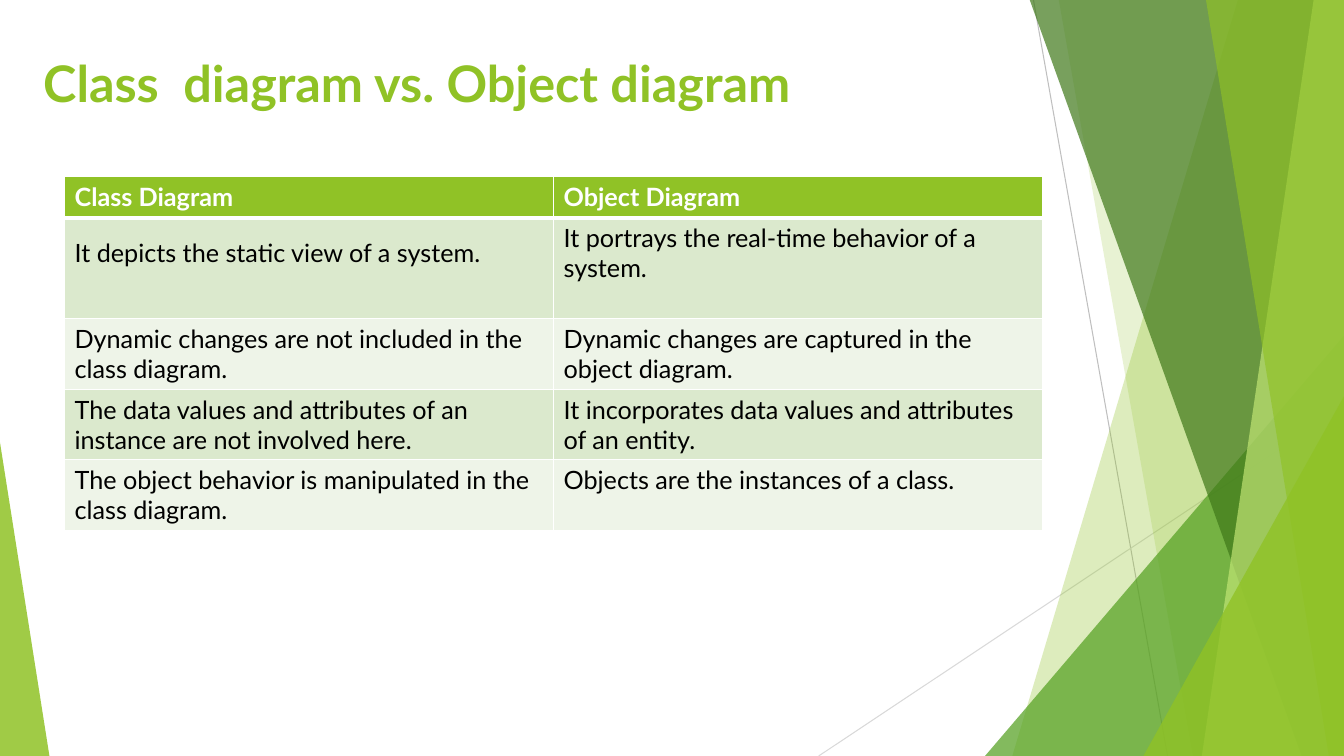
from lxml.etree import SubElement
from pptx import Presentation
from pptx.dml.color import RGBColor
from pptx.enum.shapes import MSO_CONNECTOR, MSO_SHAPE
from pptx.enum.text import MSO_ANCHOR
from pptx.oxml.ns import qn
from pptx.util import Inches, Pt

FONT = "Lato"
WIDTH, HEIGHT = 13.33, 7.5
COLORS = {
    "lime": "90C226", "green": "54A021", "forest": "3F7819", "pale": "C0E474",
    "rule": "BFBFBF", "faint_rule": "D9D9D9", "white": "FFFFFF", "black": "000000",
    "band_dark": "DBE9CD", "band_light": "EEF4E8",
}
ROWS = [
    ("Class Diagram", "Object Diagram"),
    ("It depicts the static view of a system.",
     "It portrays the real-time behavior of a system."),
    ("Dynamic changes are not included in the class diagram.",
     "Dynamic changes are captured in the object diagram."),
    ("The data values and attributes of an instance are not involved here.",
     "It incorporates data values and attributes of an entity."),
    ("The object behavior is manipulated in the class diagram.",
     "Objects are the instances of a class."),
]
ROW_HEIGHTS = [0.41, 1.0, 0.7, 0.7, 0.7]


def rgb(name):
    """Return the named colour."""
    return RGBColor.from_string(COLORS[name])


def paint(sp, color, opacity):
    """Give a shape a translucent fill with no outline or shadow."""
    sp.shadow.inherit = False
    sp.fill.solid()
    sp.fill.fore_color.rgb = rgb(color)
    sp.line.fill.background()
    fill = sp.fill.fore_color._xFill.find(qn("a:srgbClr"))
    SubElement(fill, qn("a:alpha"), val=str(opacity * 1000))


def add_line(s, start, end, color):
    """Draw a thin decorative line."""
    points = [Inches(v) for v in (*start, *end)]
    line = s.shapes.add_connector(MSO_CONNECTOR.STRAIGHT, *points)
    line.line.color.rgb = rgb(color)
    line.line.width = Pt(0.75)
    SubElement(line._element.spPr, qn("a:effectLst"))


def add_shard(s, top_left, bottom_left, color, opacity):
    """Draw a slanted panel that reaches the right edge of the slide."""
    corners = [(top_left, -0.01), (WIDTH, -0.01), (WIDTH, HEIGHT), (bottom_left, HEIGHT)]
    points = [(Inches(x), Inches(y)) for x, y in corners]
    builder = s.shapes.build_freeform(*points[0])
    builder.add_line_segments(points[1:], close=True)
    paint(builder.convert_to_shape(), color, opacity)


def add_corner(s, left, top, width, apex, color, opacity):
    """Draw a right triangle standing on the bottom edge of the slide."""
    sp = s.shapes.add_shape(MSO_SHAPE.ISOSCELES_TRIANGLE, Inches(left), Inches(top),
                            Inches(width), Inches(HEIGHT - top))
    sp.adjustments[0] = apex
    paint(sp, color, opacity)


def write(tf, text, size=18, color="black", bold=False):
    """Write one formatted run into a text frame."""
    tf.word_wrap = True
    r = tf.paragraphs[0].add_run()
    r.text = text
    r.font.name = FONT
    r.font.size = Pt(size)
    r.font.bold = bold
    r.font.color.rgb = rgb(color)


def add_border(cell, side, width):
    """Give one side of a cell a white border."""
    ln = SubElement(cell._tc.get_or_add_tcPr(), qn(f"a:ln{side}"), w=str(Pt(width)))
    fill = SubElement(ln, qn("a:solidFill"))
    SubElement(fill, qn("a:srgbClr"), val=COLORS["white"])


def add_comparison(s):
    """Add the banded table comparing the two diagrams."""
    table = s.shapes.add_table(len(ROWS), 2, Inches(0.64), Inches(1.75),
                               Inches(9.7), Inches(sum(ROW_HEIGHTS))).table
    for column in table.columns:
        column.width = Inches(4.85)
    for i, texts in enumerate(ROWS):
        table.rows[i].height = Inches(ROW_HEIGHTS[i])
        header = i == 0
        band = "lime" if header else "band_dark" if i % 2 else "band_light"
        for j, text in enumerate(texts):
            cell = table.cell(i, j)
            for side in "LRTB":
                thick = (i, side) in ((0, "B"), (1, "T"))
                add_border(cell, side, 3 if thick else 1)
            cell.fill.solid()
            cell.fill.fore_color.rgb = rgb(band)
            if i == 1:
                cell.vertical_anchor = MSO_ANCHOR.MIDDLE
                cell.margin_bottom = Inches(0.35)
            write(cell.text_frame, text, color="white" if header else "black", bold=header)


def add_backdrop(s):
    """Draw the green panels and thin lines at the slide's edges."""
    add_line(s, (10.25, 0), (11.58, HEIGHT), "rule")
    add_line(s, (WIDTH, 4.03), (8.12, HEIGHT), "faint_rule")
    add_shard(s, 12.28, 10.04, "lime", 30)
    add_shard(s, 10.5, 11.83, "lime", 20)
    add_corner(s, 9.77, 3.33, 3.56, 1, "green", 72)
    add_shard(s, 10.21, 12.91, "forest", 70)
    add_shard(s, 13.03, 11.92, "pale", 70)
    add_shard(s, 11.96, 13.18, "lime", 65)
    add_corner(s, 11.34, 3.93, 1.99, 1, "lime", 80)
    add_corner(s, 0, 4.39, 0.49, 0, "lime", 85)


def main():
    """Build and save the slide."""
    prs = Presentation()
    prs.slide_width, prs.slide_height = Inches(WIDTH), Inches(HEIGHT)
    s = prs.slides.add_slide(prs.slide_layouts[6])
    add_backdrop(s)
    title = s.shapes.add_textbox(Inches(0.33), Inches(0.47), Inches(11.49), Inches(1.05))
    write(title.text_frame, "Class  diagram vs. Object diagram", size=36, color="lime", bold=True)
    add_comparison(s)
    prs.save("out.pptx")


if __name__ == "__main__":
    main()
